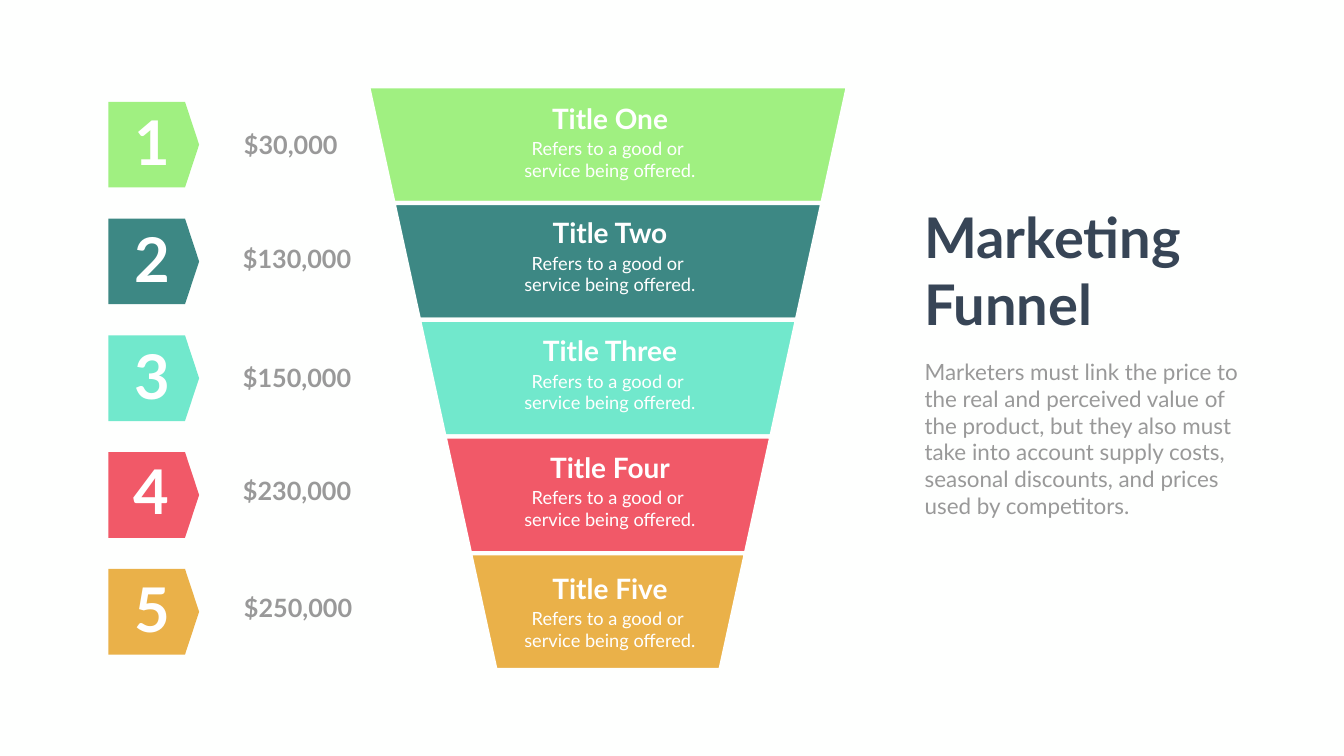
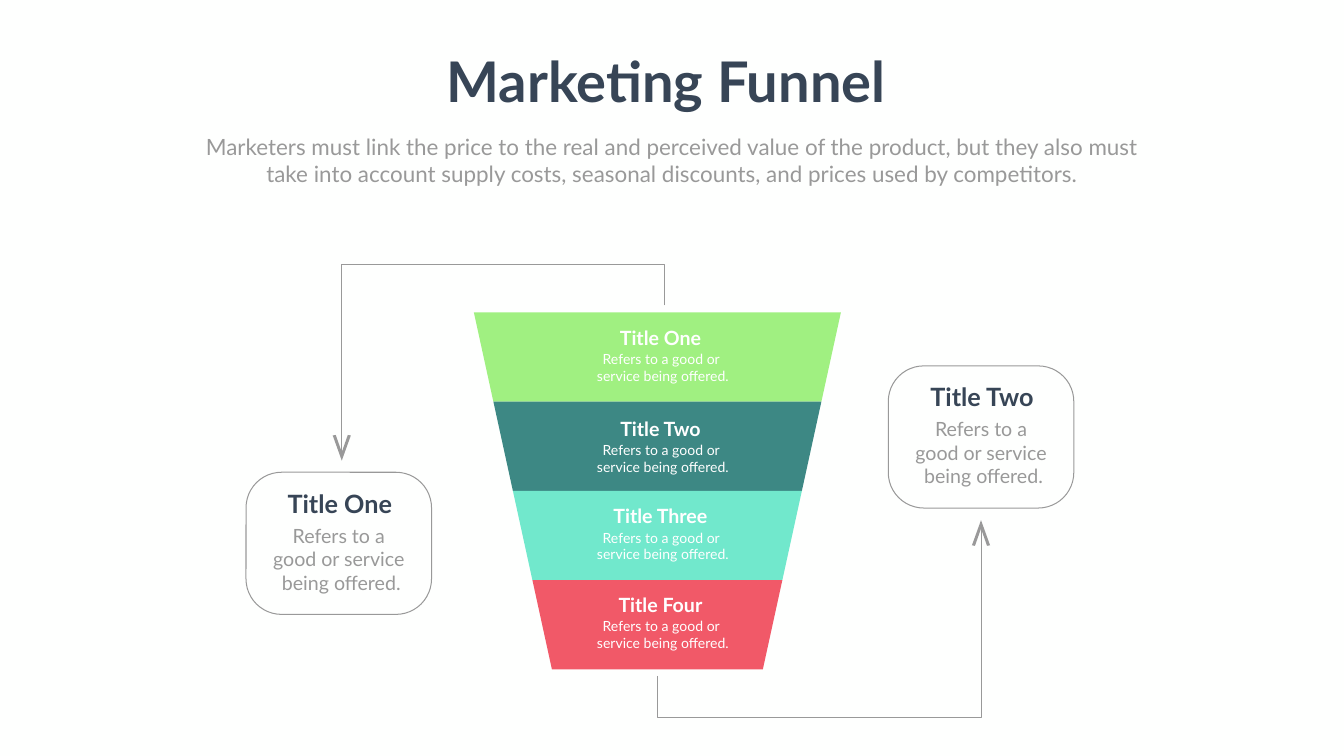
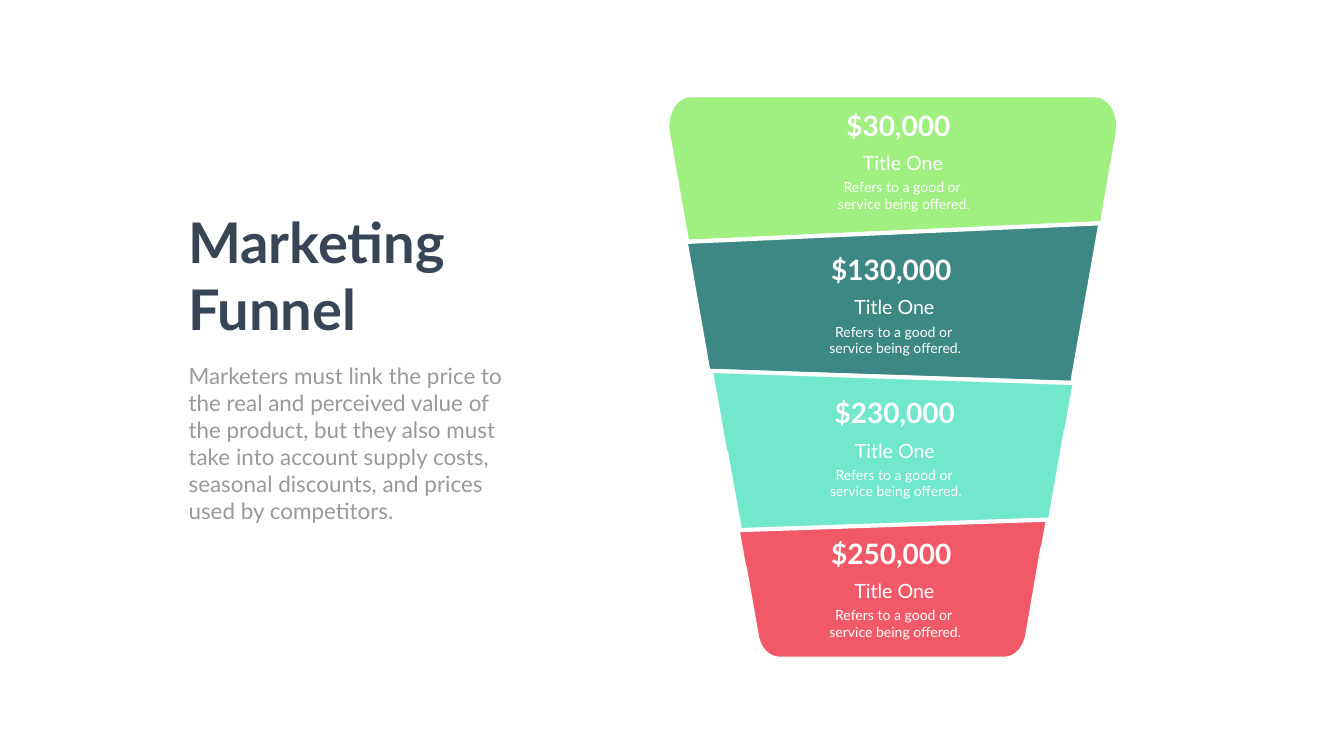
from lxml.etree import SubElement
from pptx import Presentation
from pptx.dml.color import RGBColor
from pptx.enum.shapes import MSO_SHAPE
from pptx.enum.text import MSO_ANCHOR, MSO_AUTO_SIZE, PP_ALIGN
from pptx.oxml.ns import qn
from pptx.util import Inches, Pt

# Shared look
WIDTH, HEIGHT = 26.66, 15
FONT = "Lato"
LINE_HEIGHT = 1.2
PAPER = RGBColor(0xFE, 0xFF, 0xFE)
WHITE = RGBColor(0xFF, 0xFF, 0xFF)
NAVY = RGBColor(0x37, 0x45, 0x56)
GREY = RGBColor(0x99, 0x99, 0x99)
LIME = RGBColor(0xA0, 0xF0, 0x81)
TEAL = RGBColor(0x3D, 0x88, 0x84)
MINT = RGBColor(0x71, 0xE8, 0xCC)
CORAL = RGBColor(0xF1, 0x59, 0x68)
AMBER = RGBColor(0xEA, 0xB1, 0x49)
BAND_COLOURS = [LIME, TEAL, MINT, CORAL, AMBER]
LEFT, CENTRE, RIGHT = PP_ALIGN.LEFT, PP_ALIGN.CENTER, PP_ALIGN.RIGHT
GAP_LINE, THIN_LINE = 6, 1.45

# Shared content
HEADING = "Marketing Funnel"
INTRO = ("Marketers must link the price to the real and perceived value of the product, "
         "but they also must take into account supply costs, seasonal discounts, "
         "and prices used by competitors.")
DETAIL = "Refers to a good or \nservice being offered."
CALLOUT_DETAIL = "Refers to a \ngood or service \nbeing offered."

# Width of each label's text, in ems
TEXT_EMS = {
    "Title One": 4.2, "Title Two": 4.28, "Title Three": 4.91, "Title Four": 4.37,
    "Title Five": 4.18, DETAIL: 9.58, CALLOUT_DETAIL: 7.07,
    "$30,000": 3.76, "$130,000": 4.35, "$150,000": 4.35, "$230,000": 4.35, "$250,000": 4.35,
}

# Slide 1: title, title top, price, price left, price top, number left, number top
PRICED_STEPS = [
    ("Title One", 1.96, "$30,000", 4.74, 2.52, 2.46, 2.01),
    ("Title Two", 4.23, "$130,000", 4.72, 4.77, 2.47, 4.33),
    ("Title Three", 6.57, "$150,000", 4.72, 7.13, 2.47, 6.65),
    ("Title Four", 8.88, "$230,000", 4.72, 9.38, 2.45, 8.93),
    ("Title Five", 11.29, "$250,000", 4.74, 11.71, 2.46, 11.28),
]

# Slide 2: funnel labels (title, top), callouts (title, left, top), arrows (points, direction)
FUNNEL_STEPS = [("Title One", 6.41), ("Title Two", 8.22),
                ("Title Three", 9.95), ("Title Four", 11.71)]
CALLOUTS = [("Title One", 4.88, 9.37), ("Title Two", 17.62, 7.26)]
ARROWS = [
    ([(13.04, 13.41), (13.04, 14.23), (19.46, 14.23), (19.46, 10.48)], 1),
    ([(13.19, 6.06), (13.19, 5.24), (6.78, 5.24), (6.78, 8.98)], -1),
]
ARROWHEAD = [(0.18, 0.5), (0.12, 0.51), (0, 0.17), (-0.12, 0.51), (-0.18, 0.5), (0, 0)]


def curve(start, control_1, control_2, end, pieces=12):
    """Points along a cubic curve, for a rounded corner."""
    points = []
    for piece in range(pieces + 1):
        t = piece / pieces
        weights = ((1 - t) ** 3, 3 * t * (1 - t) ** 2, 3 * t * t * (1 - t), t ** 3)
        corners = (start, control_1, control_2, end)
        points.append(tuple(sum(w * corner[axis] for w, corner in zip(weights, corners))
                            for axis in (0, 1)))
    return points


# Slide 3: price, price left, price top, label centre, outline
SLANTED_BANDS = [
    ("$30,000", 16.69, 2.1, 17.91,
     [(13.63, 4.8), (21.86, 4.43)]
     + curve((22.17, 2.64), (22.24, 2.25), (22.02, 1.89), (21.72, 1.89))
     + curve((13.7, 1.89), (13.4, 1.89), (13.18, 2.25), (13.25, 2.64))),
    ("$130,000", 16.39, 4.96, 17.74,
     [(13.6, 4.8), (14.05, 7.36), (21.27, 7.6), (21.83, 4.43)]),
    ("$230,000", 16.46, 7.8, 17.75,
     [(14.1, 7.36), (14.39, 8.98), (14.4, 8.97), (14.68, 10.53), (20.83, 10.32),
      (21.14, 8.55), (21.15, 8.55), (21.32, 7.6)]),
    ("$250,000", 16.39, 10.59, 17.74,
     [(14.63, 10.52), (14.76, 11.24), (14.77, 11.24)]
     + curve((15.01, 12.6), (15.05, 12.88), (15.24, 13.07), (15.46, 13.07))
     + curve((19.93, 13.07), (20.14, 13.07), (20.33, 12.88), (20.38, 12.6))
     + [(20.68, 10.86), (20.69, 10.86), (20.79, 10.31)]),
]


# Text
def text_height(size, lines):
    return size * LINE_HEIGHT * lines / 72 + 0.1


def write(shape, text, size, colour, bold=False, align=LEFT, wrap=False):
    frame = shape.text_frame
    frame.text = text
    settings = {"word_wrap": wrap, "auto_size": MSO_AUTO_SIZE.SHAPE_TO_FIT_TEXT,
                "vertical_anchor": MSO_ANCHOR.TOP}
    for name, value in settings.items():
        setattr(frame, name, value)
    for paragraph in frame.paragraphs:
        paragraph.alignment = align
        for run in paragraph.runs:
            for name, value in {"name": FONT, "size": Pt(size), "bold": bold}.items():
                setattr(run.font, name, value)
            run.font.color.rgb = colour


def place(shape, left, top, width, height):
    for name, value in zip(("left", "top", "width", "height"), (left, top, width, height)):
        setattr(shape, name, Inches(value))


def add_label(slide, text, left, top, size, colour, bold=False, align=LEFT, width=None):
    width = width or TEXT_EMS[text] * size / 72 + 0.2
    height = text_height(size, text.count("\n") + 1)
    box = slide.shapes.add_textbox(*map(Inches, (left, top, width, height)))
    write(box, text, size, colour, bold, align, wrap=align == RIGHT)


def add_centred(slide, text, centre, top, size, colour, bold=False):
    left = centre - TEXT_EMS[text] * size / 144 - 0.1
    add_label(slide, text, left, top, size, colour, bold, CENTRE)


def add_heading(slide, title_at, intro_at, title_lines, intro_lines, align=LEFT):
    """Fill the title and body placeholders; each place is left, top, width."""
    title, intro = slide.shapes.title, slide.placeholders[1]
    place(title, *title_at, text_height(80, title_lines))
    write(title, HEADING, 80, NAVY, True, align, wrap=title_lines > 1)
    place(intro, *intro_at, text_height(32, intro_lines))
    intro.text_frame.text = INTRO
    write(intro, INTRO, 32, GREY, False, align, wrap=True)
    paragraph = intro.text_frame.paragraphs[0]
    paragraph.space_before = Pt(0)
    properties = paragraph._p.get_or_add_pPr()
    properties.set("marL", "0")
    properties.set("indent", "0")
    SubElement(properties, qn("a:buNone"))


# Shapes
def paint(shape, fill=None, line=None, line_width=THIN_LINE):
    shape.shadow.inherit = False
    if fill is None:
        shape.fill.background()
    else:
        shape.fill.solid()
        shape.fill.fore_color.rgb = fill
    if line is None:
        shape.line.fill.background()
    else:
        shape.line.color.rgb = line
        shape.line.width = Pt(line_width)


def add_outline(slide, points, close=True, **look):
    start, *rest = [(Inches(x), Inches(y)) for x, y in points]
    builder = slide.shapes.build_freeform(*start)
    builder.add_line_segments(rest, close=close)
    paint(builder.convert_to_shape(), **look)


def add_funnel(slide, count, centre, top, width, band_height, inset, **look):
    """Stack bands whose sides move in by the same inset each."""
    for band, colour in enumerate(BAND_COLOURS[:count]):
        upper, lower = (width / 2 - inset * step for step in (band, band + 1))
        y = top + band * band_height
        add_outline(slide, [(centre - upper, y), (centre + upper, y),
                            (centre + lower, y + band_height),
                            (centre - lower, y + band_height)], fill=colour, **look)


# Slides
def build_priced_funnel(slide):
    add_funnel(slide, 5, 12.06, 1.71, 9.52, 2.317, 0.506, line=PAPER, line_width=GAP_LINE)
    left, shoulder, tip, tag_height = 2.15, 3.67, 3.95, 1.7
    for index, colour in enumerate(BAND_COLOURS):
        top = 2.02 + index * 2.317
        bottom = top + tag_height
        add_outline(slide, [(left, top), (shoulder, top), (tip, top + tag_height / 2),
                            (shoulder, bottom), (left, bottom)], fill=colour)
    add_heading(slide, (18.23, 3.97, 5.57), (18.24, 7.05, 6.63), 2, 6)
    for number, step in enumerate(PRICED_STEPS, 1):
        title, title_top, price, price_left, price_top, number_left, number_top = step
        add_label(slide, str(number), number_left, number_top, 88, WHITE, True, RIGHT, 1.01)
        add_centred(slide, DETAIL, 12.1, title_top + 0.72, 26, WHITE)
        add_centred(slide, title, 12.1, title_top, 40, WHITE, True)
        add_label(slide, price, price_left, price_top, 36, GREY, True)


def build_callout_funnel(slide):
    add_funnel(slide, 4, 13.04, 6.2, 7.28, 1.77, 0.387)
    for points, direction in ARROWS:
        add_outline(slide, points, close=False, line=GREY)
        x, y = points[-1][0], points[-1][1] - 0.16 * direction
        add_outline(slide, [(x + dx, y + dy * direction) for dx, dy in ARROWHEAD], fill=GREY)
    add_heading(slide, (8.65, 0.87, 9.13), (3.79, 2.6, 19.08), 1, 2, CENTRE)
    for title, top in FUNNEL_STEPS:
        add_centred(slide, DETAIL, 13.15, top + 0.5, 20, WHITE)
        add_centred(slide, title, 13.1, top, 28, WHITE, True)
    box_width, box_height = 3.68, 2.82
    for title, left, top in CALLOUTS:
        box = slide.shapes.add_shape(MSO_SHAPE.ROUNDED_RECTANGLE,
                                     *map(Inches, (left, top, box_width, box_height)))
        box.adjustments[0] = 0.25
        paint(box, line=GREY)
        centre = left + box_width / 2
        add_centred(slide, CALLOUT_DETAIL, centre + 0.05, top + 0.97, 28, GREY)
        add_centred(slide, title, centre + 0.02, top + 0.26, 36, NAVY, True)


def build_slanted_funnel(slide):
    for (*_, outline), colour in zip(SLANTED_BANDS, BAND_COLOURS):
        add_outline(slide, outline, fill=colour, line=PAPER, line_width=GAP_LINE)
    add_heading(slide, (3.63, 4.06, 5.57), (3.64, 7.14, 6.63), 2, 6)
    for price, left, top, centre, _ in SLANTED_BANDS:
        add_label(slide, price, left, top, 40, WHITE, True)
        add_centred(slide, DETAIL, centre + 0.02, top + 1.4, 20, WHITE)
        add_centred(slide, "Title One", centre, top + 0.85, 28, WHITE)


def main():
    presentation = Presentation()
    presentation.slide_width, presentation.slide_height = Inches(WIDTH), Inches(HEIGHT)
    background = presentation.slide_master.background.fill
    background.solid()
    background.fore_color.rgb = PAPER
    for build in (build_priced_funnel, build_callout_funnel, build_slanted_funnel):
        build(presentation.slides.add_slide(presentation.slide_layouts[1]))
    presentation.save("out.pptx")


if __name__ == "__main__":
    main()
